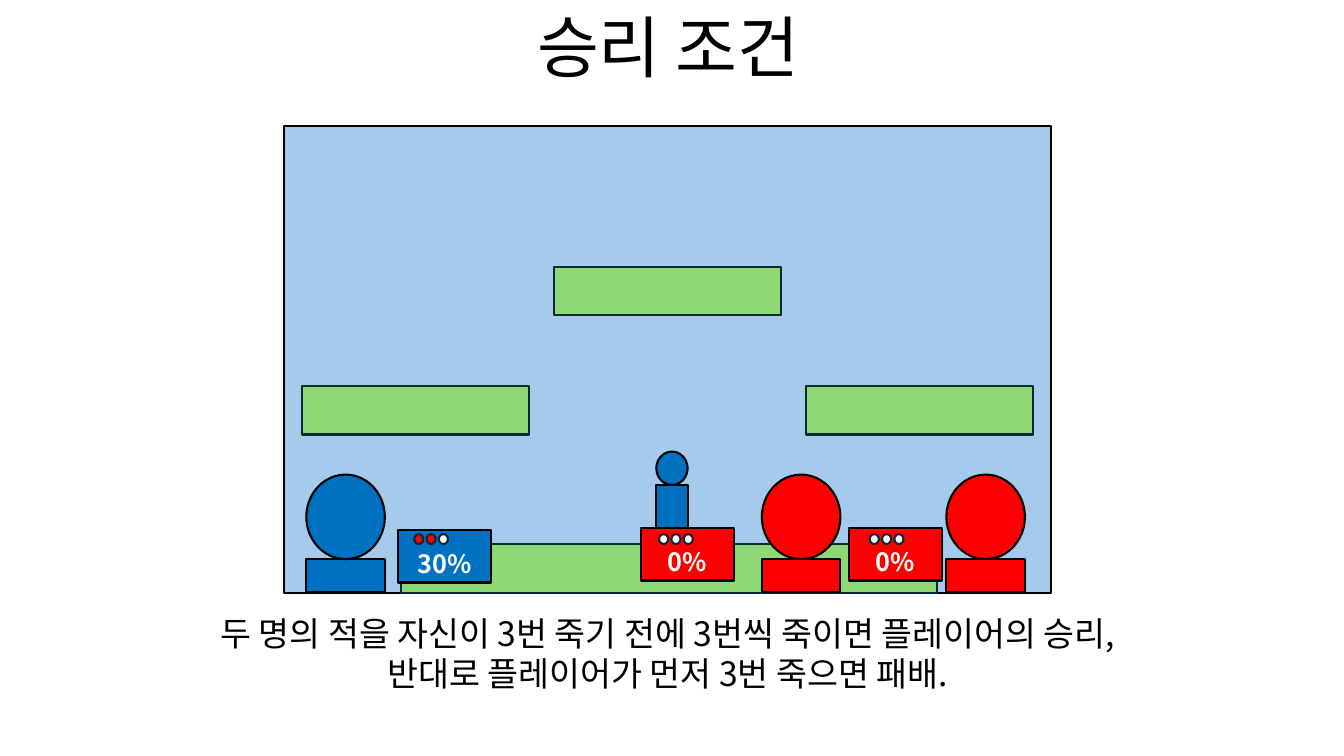
import pptx
import pptx.dml.color
import pptx.enum.shapes
import pptx.enum.text
import pptx.oxml.ns
import pptx.util
import lxml.etree

Cm = pptx.util.Cm
RECTANGLE = pptx.enum.shapes.MSO_SHAPE.RECTANGLE
OVAL = pptx.enum.shapes.MSO_SHAPE.OVAL
FONT = "Noto Sans CJK KR"
BLUE, RED, WHITE, BLACK = "0070C0", "FF0000", "FFFFFF", "000000"
SKY, GRASS, NAVY = "A6CAEC", "8ED973", "092A39"

deck = pptx.Presentation()
deck.slide_width, deck.slide_height = Cm(33.87), Cm(19.05)
page = deck.slides.add_slide(deck.slide_layouts[1])
scene = page.shapes.add_group_shape()


def add_part(kind, left, top, width, height, fill, line=BLACK):
    part = scene.shapes.add_shape(kind, Cm(left), Cm(top), Cm(width), Cm(height))
    part.shadow.inherit = False
    part.fill.solid()
    part.fill.fore_color.rgb = pptx.dml.color.RGBColor.from_string(fill)
    part.line.color.rgb = pptx.dml.color.RGBColor.from_string(line)
    part.line.width = pptx.util.Pt(1.5)
    return part


def write_lines(box, lines, size, color, bold=False):
    frame = box.text_frame
    frame.word_wrap = True
    frame.auto_size = pptx.enum.text.MSO_AUTO_SIZE.NONE
    frame.text = "\n".join(lines)
    para_format = {
        "alignment": pptx.enum.text.PP_ALIGN.CENTER,
        "line_spacing": pptx.util.Pt(size * 1.2),
        "space_before": pptx.util.Pt(0),
    }
    font_format = {"name": FONT, "size": pptx.util.Pt(size), "bold": bold}
    for para in frame.paragraphs:
        for name, value in para_format.items():
            setattr(para, name, value)
        for span in para.runs:
            for name, value in font_format.items():
                setattr(span.font, name, value)
            span.font.color.rgb = pptx.dml.color.RGBColor.from_string(color)
            # Hangul takes the East Asian typeface
            east_asian = lxml.etree.SubElement(
                span.font._element, pptx.oxml.ns.qn("a:ea"))
            east_asian.set("typeface", FONT)


# Title and rule text
title, rules = page.placeholders
for box, (left, top, width, height) in (
    (title, (-0.2, 0, 34.09, 2.31)),
    (rules, (2.79, 15.32, 28.07, 2.31)),
):
    box.left, box.top, box.width, box.height = Cm(left), Cm(top), Cm(width), Cm(height)

write_lines(title, ["승리 조건"], 48, BLACK)
title.text_frame.vertical_anchor = pptx.enum.text.MSO_ANCHOR.MIDDLE
write_lines(rules, [
    "두 명의 적을 자신이 3번 죽기 전에 3번씩 죽이면 플레이어의 승리,",
    "반대로 플레이어가 먼저 3번 죽으면 패배.",
], 24, BLACK)
rules.text_frame.vertical_anchor = pptx.enum.text.MSO_ANCHOR.TOP
for para in rules.text_frame.paragraphs:
    settings = para._p.get_or_add_pPr()
    settings.set("marL", "0")
    settings.set("indent", "0")
    lxml.etree.SubElement(settings, pptx.oxml.ns.qn("a:buNone"))

# Arena, ground and platforms
add_part(RECTANGLE, 7.16, 3.18, 19.33, 11.76, SKY)
add_part(RECTANGLE, 10.11, 13.72, 13.51, 1.22, GRASS, NAVY)
for left, top in ((7.62, 9.73), (20.32, 9.73), (13.97, 6.73)):
    add_part(RECTANGLE, left, top, 5.72, 1.22, GRASS, NAVY)

# Player on the ground, then the portraits: head sits on the body
for left, top, width, head, body, color in (
    (16.54, 11.38, 0.79, 0.84, 1.5, BLUE),
    (7.72, 11.96, 1.98, 2.13, 0.82, BLUE),
    (19.2, 11.96, 1.98, 2.13, 0.82, RED),
    (23.85, 11.96, 1.98, 2.13, 0.82, RED),
):
    add_part(RECTANGLE, left, top + head, width, body, color)
    add_part(OVAL, left, top, width, head, color)

# Damage panels with three life lamps each
for left, top, color, damage, lamp_left, deaths in (
    (10.03, 13.36, BLUE, "30%", 10.44, 2),
    (16.15, 13.31, RED, "0%", 16.61, 0),
    (21.39, 13.31, RED, "0%", 21.92, 0),
):
    panel = add_part(RECTANGLE, left, top, 2.34, 1.32, color)
    write_lines(panel, [damage], 18, WHITE, bold=True)
    panel.text_frame.vertical_anchor = pptx.enum.text.MSO_ANCHOR.MIDDLE
    panel.text_frame.margin_top = Cm(0.38)
    panel.text_frame.margin_bottom = Cm(0)
    for lamp in range(3):
        lamp_color = RED if lamp < deaths else WHITE
        add_part(OVAL, lamp_left + 0.31 * lamp, 13.46, 0.23, 0.25, lamp_color, NAVY)

deck.save("out.pptx")
